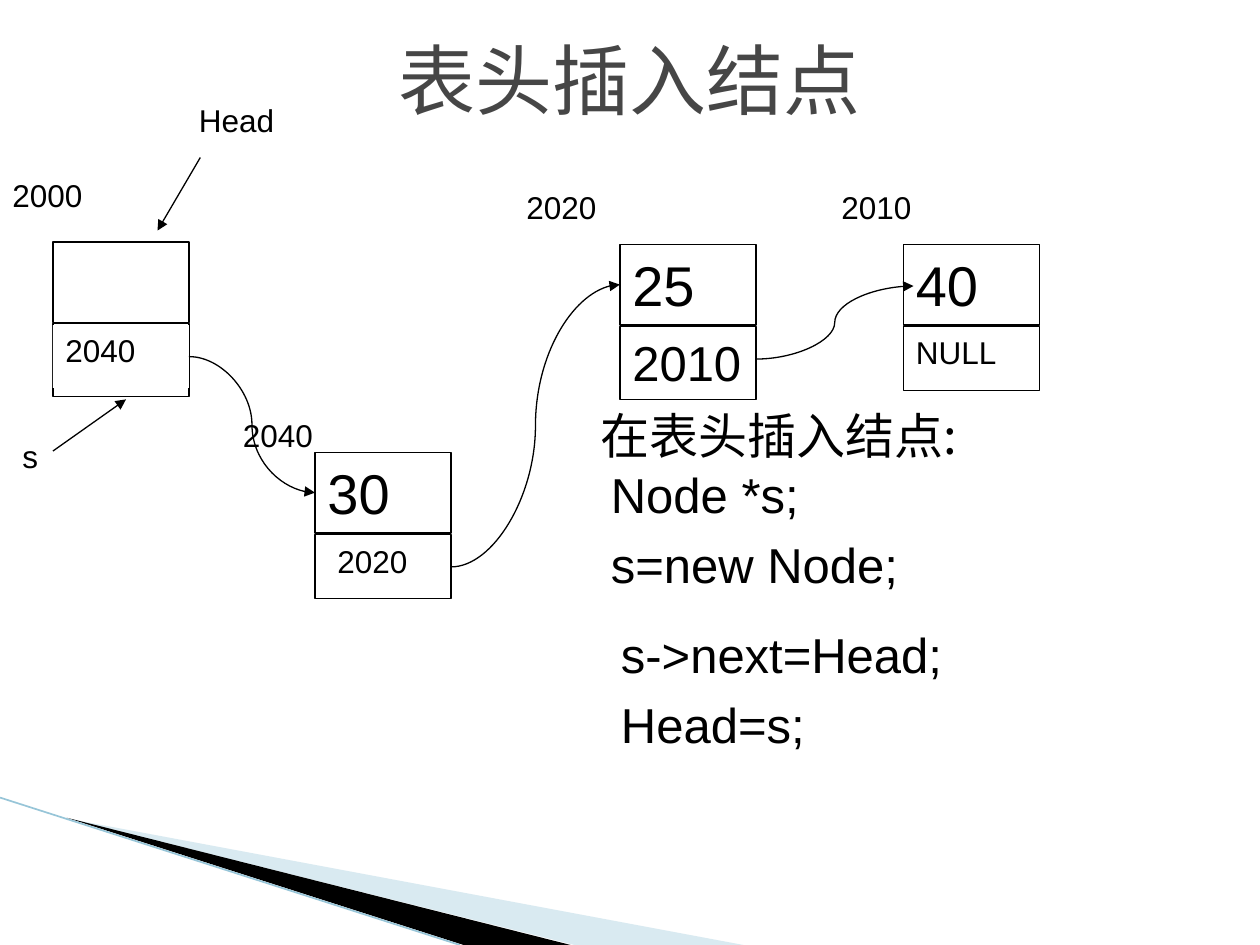
import pptx
import pptx.util
import pptx.dml.color
import pptx.enum.shapes
import pptx.enum.text
import pptx.oxml.ns
from lxml import etree

Inches, Pt, qn = pptx.util.Inches, pptx.util.Pt, pptx.oxml.ns.qn
SHAPE = pptx.enum.shapes.MSO_SHAPE
CONNECTOR = pptx.enum.shapes.MSO_CONNECTOR
ANCHOR = pptx.enum.text.MSO_ANCHOR
ALIGN = pptx.enum.text.PP_ALIGN
CJK = "Noto Sans CJK SC"


def rgb(hex_colour):
    return pptx.dml.color.RGBColor.from_string(hex_colour)


def write(shape, lines, size, font="Arial", colour="000000",
          align=ALIGN.LEFT, anchor=ANCHOR.TOP):
    frame = shape.text_frame
    frame.word_wrap = True
    frame.vertical_anchor = anchor
    for i, line in enumerate(lines):
        paragraph = frame.add_paragraph() if i else frame.paragraphs[0]
        paragraph.alignment = align
        paragraph.space_before = Pt(6 if i else 0)
        run = paragraph.add_run()
        run.text = line
        run.font.name = font
        run.font.size = Pt(size)
        run.font.color.rgb = rgb(colour)
        east_asian = etree.SubElement(run._r.get_or_add_rPr(), qn("a:ea"))
        east_asian.set("typeface", CJK)


prs = pptx.Presentation()
prs.slide_width, prs.slide_height = Inches(10), Inches(7.5)
slide = prs.slides.add_slide(prs.slide_layouts[5])
shapes = slide.shapes

# Corner wedges
wedges = [
    ([(0.55, 6.5), (5.9, 7.5), (4.56, 7.5)], "A0CBDC", 40),
    ([(0.53, 6.49), (4.53, 7.5), (3.68, 7.5)], "000000", 100),
]
for corners, colour, opacity in wedges:
    points = [(Inches(x), Inches(y)) for x, y in corners]
    builder = shapes.build_freeform(*points[0], scale=1.0)
    builder.add_line_segments(points[1:], close=True)
    wedge = builder.convert_to_shape()
    wedge.shadow.inherit = False
    wedge.fill.solid()
    wedge.fill.fore_color.rgb = rgb(colour)
    wedge.line.fill.background()
    if opacity < 100:
        fill_colour = wedge._element.spPr.find(".//" + qn("a:srgbClr"))
        etree.SubElement(fill_colour, qn("a:alpha")).set("val", str(opacity * 1000))

# Title
title = shapes.title
title.left, title.top = Inches(0.5), Inches(0)
title.width, title.height = Inches(9), Inches(1.25)
write(title, ["表头插入结点"], 44, colour="464646",
      align=ALIGN.CENTER, anchor=ANCHOR.MIDDLE)

# List nodes: a data cell above a pointer cell
# left, top, pointer cell height, data, pointer, pointer text size
nodes = [
    (0.42, 1.92, 0.58, "", "", 18),
    (2.5, 3.59, 0.51, "30", "", 18),
    (4.92, 1.94, 0.58, "25", "2010", 28),
    (7.17, 1.94, 0.51, "40", "NULL", 18),
]
for left, top, pointer_height, data, pointer, pointer_size in nodes:
    for y, height, value, size in [(top, 0.64, data, 32),
                                   (top + 0.65, pointer_height, pointer, pointer_size)]:
        cell = shapes.add_shape(SHAPE.RECTANGLE, Inches(left), Inches(y),
                                Inches(1.08), Inches(height))
        cell.shadow.inherit = False
        cell.fill.background()
        cell.line.color.rgb = rgb("000000")
        cell.line.width = Pt(0.75)
        if value:
            write(cell, [value], size)

# New pointer value of the head node
head_pointer = shapes.add_shape(SHAPE.RECTANGLE, Inches(0.42), Inches(2.58),
                                Inches(1.08), Inches(0.5))
head_pointer.shadow.inherit = False
head_pointer.fill.solid()
head_pointer.fill.fore_color.rgb = rgb("FFFFFF")
head_pointer.line.fill.background()
write(head_pointer, ["2040"], 18)

# Addresses, pointer names and code
captions = [
    (0, 1.35, 1, 0.4, ["2000"], 18, "Arial"),
    (1.83, 3.25, 1, 0.4, ["2040"], 18, "Arial"),
    (4.08, 1.44, 1, 0.4, ["2020"], 18, "Arial"),
    (6.58, 1.44, 1, 0.4, ["2010"], 18, "Arial"),
    (2.58, 4.25, 1, 0.5, ["2020"], 18, "Arial"),
    (1.48, 0.75, 1.02, 0.5, ["Head"], 18, "Arial"),
    (0.08, 3.42, 0.92, 0.5, ["s"], 18, "Arial"),
    (4.67, 3.17, 4, 0.57, ["在表头插入结点:"], 28, CJK),
    (4.75, 3.64, 4.92, 1.14, ["Node *s;", "s=new Node;"], 28, "Arial"),
    (4.83, 4.91, 4.92, 1.13, ["s->next=Head;", "Head=s;"], 28, "Arial"),
]
for left, top, width, height, lines, size, font in captions:
    caption = shapes.add_textbox(Inches(left), Inches(top), Inches(width), Inches(height))
    write(caption, lines, size, font)

# Links between nodes, pointer arrows and the corner edge
links = [
    (CONNECTOR.STRAIGHT, (0, 6.33), (3.65, 7.5), "97C5D8", 0.95, False),
    (CONNECTOR.CURVE, (1.5, 2.83), (2.5, 3.91), "000000", 0.75, True),
    (CONNECTOR.CURVE, (3.58, 4.5), (4.92, 2.26), "000000", 0.75, True),
    (CONNECTOR.CURVE, (6, 2.85), (7.25, 2.27), "000000", 0.75, True),
    (CONNECTOR.STRAIGHT, (1.59, 1.25), (1.25, 1.83), "000000", 0.75, True),
    (CONNECTOR.STRAIGHT, (0.42, 3.58), (1, 3.17), "000000", 0.75, True),
]
for kind, start, end, colour, width, has_arrow in links:
    link = shapes.add_connector(kind, *[Inches(v) for v in start + end])
    link.line.color.rgb = rgb(colour)
    link.line.width = Pt(width)
    if has_arrow:
        etree.SubElement(link.line._get_or_add_ln(), qn("a:tailEnd")).set("type", "triangle")
    etree.SubElement(link._element.spPr, qn("a:effectLst"))

prs.save("out.pptx")
